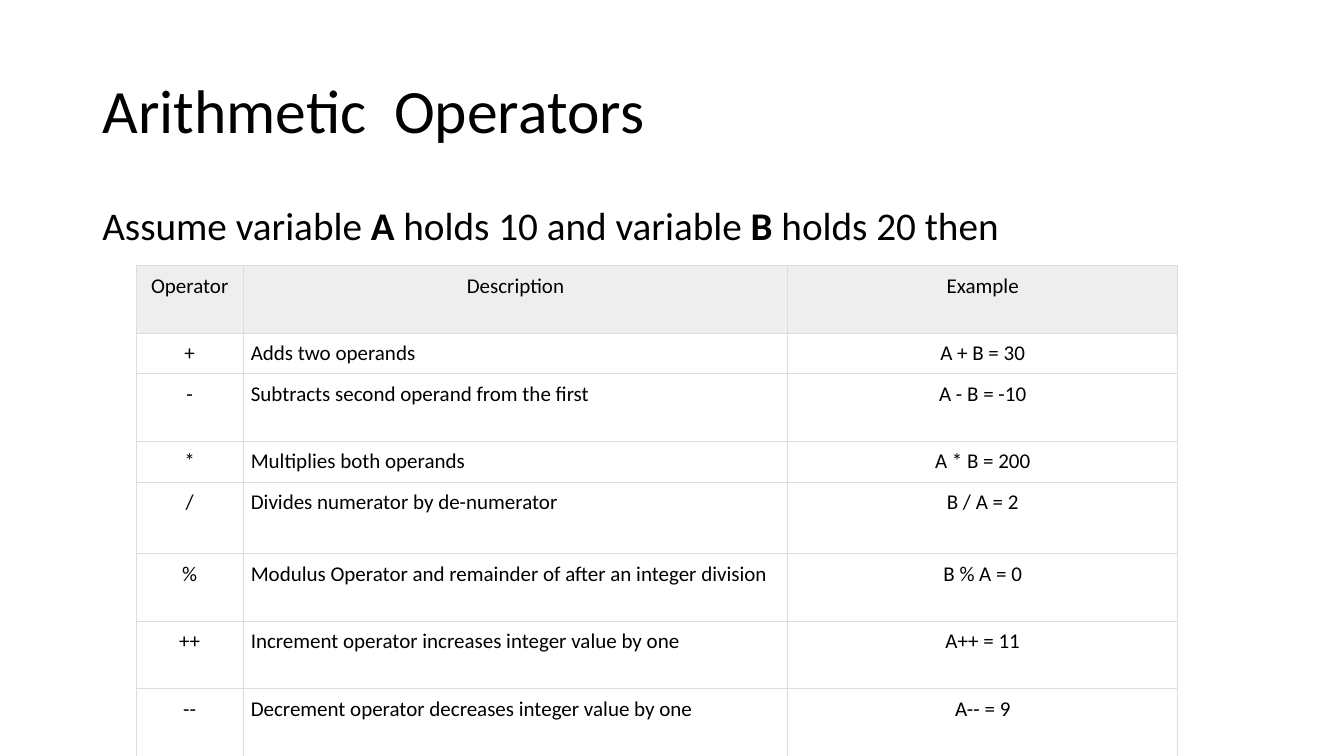
from lxml import etree
from pptx import Presentation
from pptx.dml.color import RGBColor
from pptx.enum.text import MSO_ANCHOR, MSO_AUTO_SIZE, PP_ALIGN
from pptx.oxml.ns import qn
from pptx.util import Cm, Pt

LEFT, CENTER = PP_ALIGN.LEFT, PP_ALIGN.CENTER
TOP, MIDDLE = MSO_ANCHOR.TOP, MSO_ANCHOR.MIDDLE
NO_AUTOFIT = MSO_AUTO_SIZE.NONE

BLACK = RGBColor(0x00, 0x00, 0x00)
HEADER_GREY = RGBColor(0xEE, 0xEE, 0xEE)
BORDER_GREY = RGBColor(0xDD, 0xDD, 0xDD)
FONT = "Calibri"
TITLE_ONLY = 5

TALL, SHORT, DIVISION = 1.7, 1.03, 1.8
COLUMN_WIDTHS = (2.7, 13.72, 9.83)
COLUMN_ALIGNS = (CENTER, LEFT, CENTER)
HEADER = ("Operator", "Description", "Example")
OPERATORS = [
    (SHORT, "+", "Adds two operands", "A + B = 30"),
    (TALL, "-", "Subtracts second operand from the first", "A - B = -10"),
    (SHORT, "*", "Multiplies both operands", "A * B = 200"),
    (DIVISION, "/", "Divides numerator by de-numerator", "B / A = 2"),
    (TALL, "%", "Modulus Operator and remainder of after an integer division",
     "B % A = 0"),
    (TALL, "++", "Increment operator increases integer value by one", "A++ = 11"),
    (TALL, "--", "Decrement operator decreases integer value by one", "A-- = 9"),
]
ASSUMPTION = [
    ("Assume variable ", False),
    ("A", True),
    (" holds 10 and variable ", False),
    ("B", True),
    (" holds 20 then", False),
]


def add_run(p, text, size, bold=False):
    r = p.add_run()
    r.text = text
    r.font.name = FONT
    r.font.size = Pt(size)
    r.font.bold = bold
    r.font.color.rgb = BLACK


def format_frame(tf, anchor):
    """Set up a wrapping frame and return its first paragraph."""
    tf.word_wrap = True
    tf.auto_size = NO_AUTOFIT
    tf.vertical_anchor = anchor
    p = tf.paragraphs[0]
    p.alignment = LEFT
    p.line_spacing = 0.9
    return p


def place_title(s, left, top, width, height):
    title = s.shapes.title
    title.left, title.top, title.width, title.height = left, top, width, height
    p = format_frame(title.text_frame, MIDDLE)
    add_run(p, "Arithmetic  Operators", 44)


def add_assumption(s, left, top, width, height):
    box = s.shapes.add_textbox(left, top, width, height)
    p = format_frame(box.text_frame, TOP)
    p.space_before = Pt(10)
    for text, bold in ASSUMPTION:
        add_run(p, text, 28, bold)


def add_borders(cell):
    tc_pr = cell._tc.get_or_add_tcPr()
    for side in ("a:lnL", "a:lnR", "a:lnT", "a:lnB"):
        ln = etree.SubElement(tc_pr, qn(side), w=str(Pt(0.75)))
        fill = etree.SubElement(ln, qn("a:solidFill"))
        etree.SubElement(fill, qn("a:srgbClr"), val=str(BORDER_GREY))


def fill_cell(cell, text, align, is_header):
    cell.margin_left = cell.margin_right = Cm(0.19)
    cell.margin_top = cell.margin_bottom = Cm(0.19)
    cell.vertical_anchor = TOP
    add_borders(cell)
    if is_header:
        cell.fill.solid()
        cell.fill.fore_color.rgb = HEADER_GREY
    else:
        cell.fill.background()
    p = cell.text_frame.paragraphs[0]
    p.alignment = align
    add_run(p, text, 15)


def add_operator_table(s, left, top):
    rows = [(TALL, *HEADER), *OPERATORS]
    width = Cm(sum(COLUMN_WIDTHS))
    height = Cm(sum(row[0] for row in rows))
    table = s.shapes.add_table(
        len(rows), len(HEADER), left, top, width, height).table
    table.first_row = table.horz_banding = False
    for column, column_width in zip(table.columns, COLUMN_WIDTHS):
        column.width = Cm(column_width)
    for i, (row_height, *texts) in enumerate(rows):
        table.rows[i].height = Cm(row_height)
        for j, text in enumerate(texts):
            align = COLUMN_ALIGNS[j] if i else CENTER
            fill_cell(table.cell(i, j), text, align, i == 0)


def main():
    prs = Presentation()
    prs.slide_width, prs.slide_height = Cm(33.87), Cm(19.05)
    s = prs.slides.add_slide(prs.slide_layouts[TITLE_ONLY])
    place_title(s, Cm(2.33), Cm(1.01), Cm(29.21), Cm(3.68))
    add_assumption(s, Cm(2.33), Cm(5.07), Cm(29.21), Cm(12.09))
    add_operator_table(s, Cm(3.43), Cm(6.69))
    prs.save("out.pptx")


if __name__ == "__main__":
    main()
